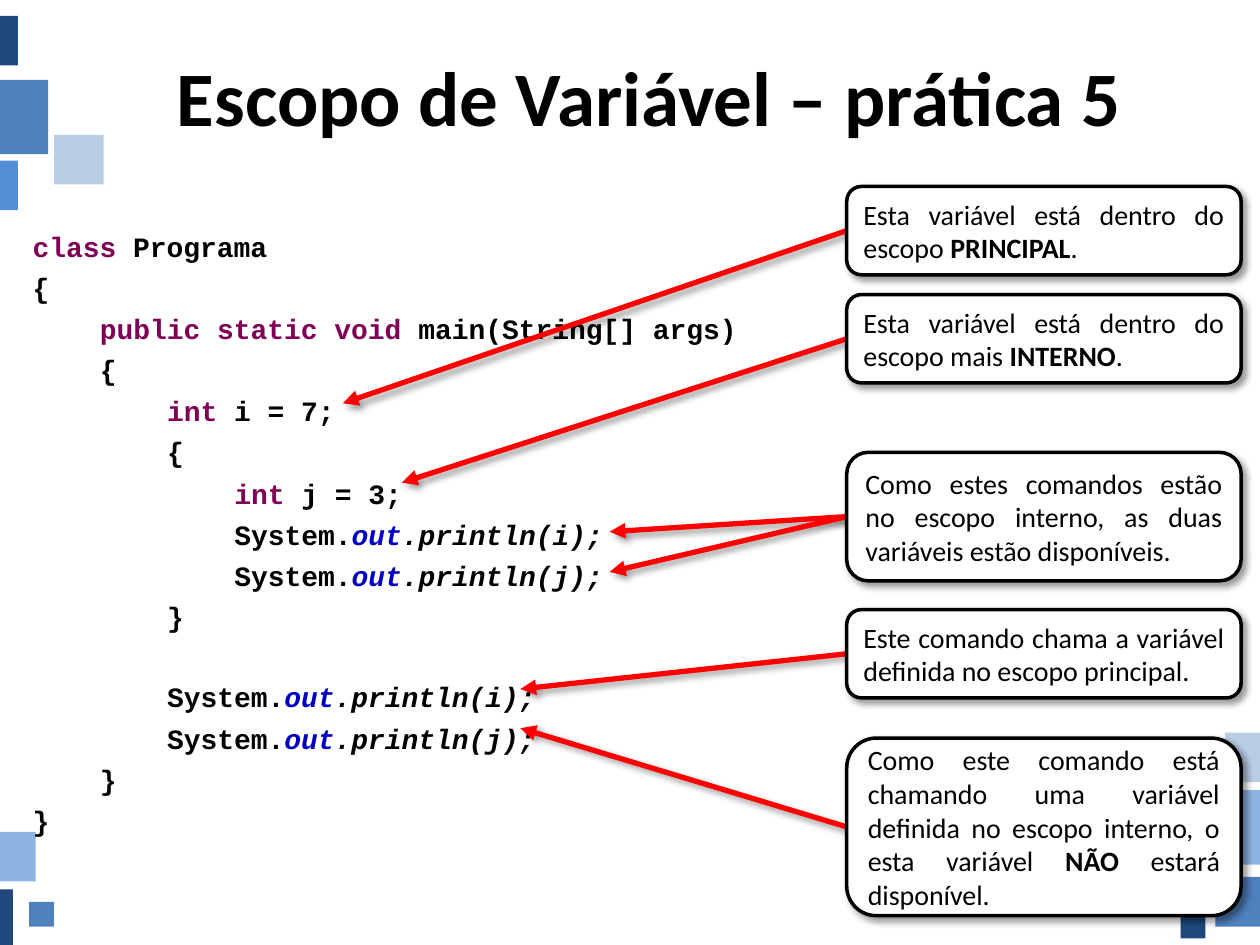
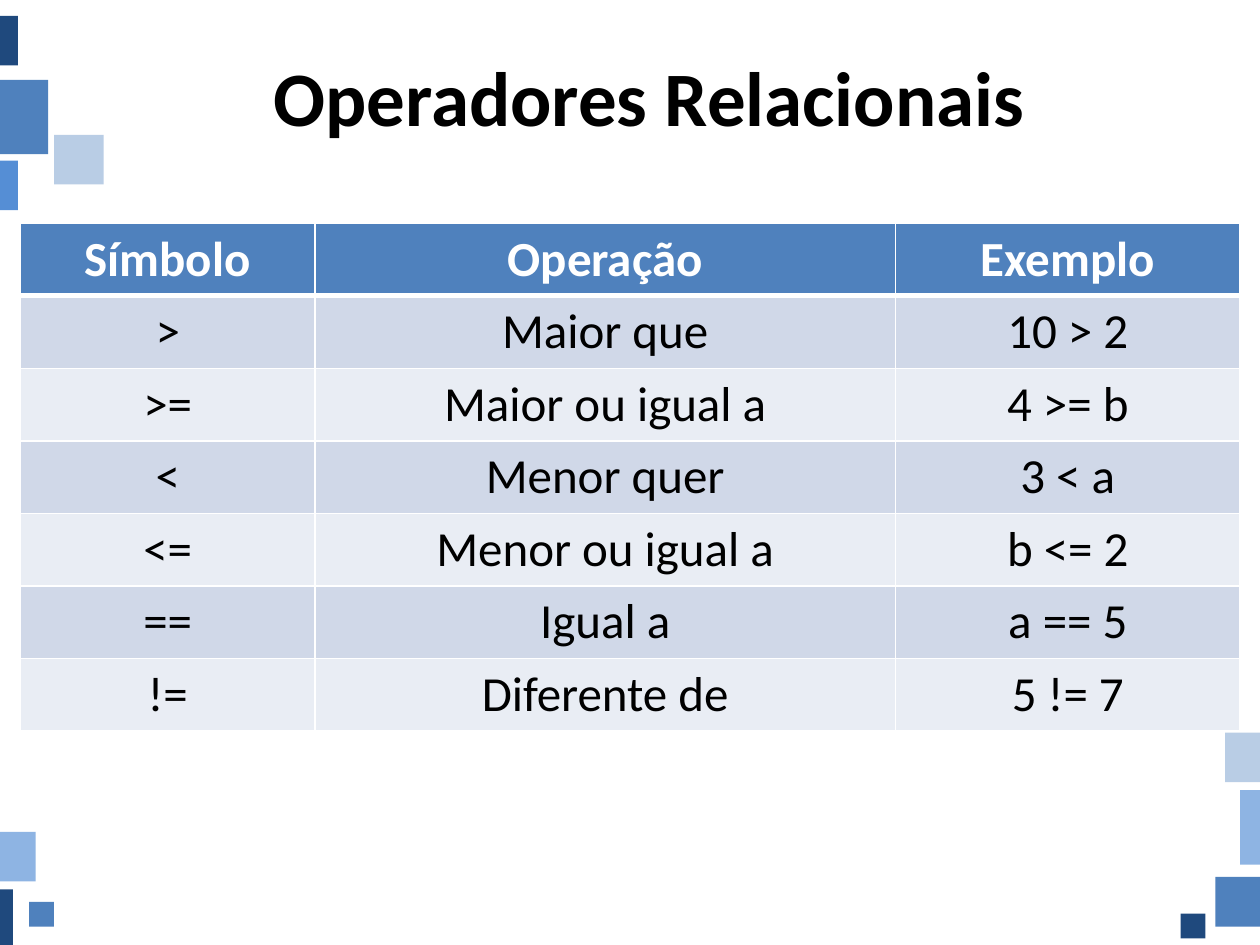
from lxml import etree
from pptx import Presentation
from pptx import util as u
from pptx.dml.color import RGBColor
from pptx.enum import shapes, text
from pptx.oxml import ns

# ---------- Shared style ----------
COLORS = {
    "black": "000000", "white": "FFFFFF", "arrow": "FF0000",
    "navy": "1F497D", "blue": "4F81BD", "bright": "558ED5",
    "sky": "8EB4E3", "pale": "B9CDE5",
    "keyword": "7F0055", "field": "0000C0",
    "band_dark": "D0D8E8", "band_light": "E9EDF4",
}
BODY_FONT, CODE_FONT = "Calibri", "Courier New"
TITLE_BOX = (1.09, 0.33, 24, 3.18)

# Corner squares: colour, left, top, width, height (cm)
SQUARES = [
    ("navy", 0, 0.32, 0.36, 1), ("blue", 0, 1.61, 0.97, 1.5),
    ("bright", 0, 3.24, 0.36, 1), ("pale", 1.09, 2.72, 1, 1),
    ("blue", 24.5, 17.68, 0.9, 1), ("sky", 25, 15.93, 0.4, 1.5),
    ("pale", 24.7, 14.77, 0.7, 1), ("navy", 23.8, 18.42, 0.5, 0.5),
    ("navy", 0, 17.93, 0.26, 1.12), ("sky", 0, 16.77, 0.72, 1),
    ("blue", 0.59, 18.18, 0.5, 0.5),
]

# ---------- Slide 1 content ----------
SCOPE_TITLE = "Escopo de Variável – prática 5"
# Code styles: colour, italic
CODE_STYLES = {"plain": ("black", False), "keyword": ("keyword", False),
               "field": ("field", True), "call": ("black", True)}


def print_line(variable):
    return [("System.", "plain"), ("out", "field"),
            (f".println({variable});", "call")]


OPEN, CLOSE = [("{", "plain")], [("}", "plain")]
# Indent level, runs, blank lines above
CODE = [
    (0, [("class", "keyword"), (" Programa", "plain")], 0),
    (0, OPEN, 0),
    (1, [("public static void", "keyword"),
         (" main(String[] args)", "plain")], 0),
    (1, OPEN, 0),
    (2, [("int ", "keyword"), ("i = 7;", "plain")], 0),
    (2, OPEN, 0),
    (3, [("int ", "keyword"), ("j = 3;", "plain")], 0),
    (3, print_line("i"), 0),
    (3, print_line("j"), 0),
    (2, CLOSE, 0),
    (2, print_line("i"), 1),
    (2, print_line("j"), 0),
    (1, CLOSE, 0),
    (0, CLOSE, 0),
]
CODE_BOX = (0.41, 4.5, 24.6, 13.15)
CODE_INDENT = 1.355             # four characters of 16 pt code
CODE_GAP, CODE_PITCH = 4.3, 22.45  # points

# Callouts: top, height, arrow targets, runs (text, bold)
CALLOUT_LEFT, CALLOUT_WIDTH = 17.07, 7.95
CALLOUTS = [
    (3.76, 1.78, [(6.91, 8.13)],
     [("Esta variável está dentro do escopo ", False),
      ("PRINCIPAL", True), (".", False)]),
    (5.94, 1.78, [(8.1, 9.73)],
     [("Esta variável está dentro do escopo mais ", False),
      ("INTERNO", True), (".", False)]),
    (9.12, 2.59, [(12.29, 10.72), (12.29, 11.53)],
     [("Como estes comandos estão no escopo interno, as duas variáveis "
       "estão disponíveis.", False)]),
    (12.29, 1.78, [(10.49, 13.89)],
     [("Este comando chama a variável definida no escopo principal.",
       False)]),
    (14.88, 3.58, [(10.49, 14.68)],
     [("Como este comando está chamando uma variável definida no escopo "
       "interno, o esta variável ", False),
      ("NÃO", True), (" estará disponível.", False)]),
]

# ---------- Slide 2 content ----------
OPERATORS_TITLE = "Operadores Relacionais"
OPERATORS = [
    ("Símbolo", "Operação", "Exemplo"),
    (">", "Maior que", "10 > 2"),
    (">=", "Maior ou igual a", "4 >= b"),
    ("<", "Menor quer", "3 < a"),
    ("<=", "Menor ou igual a", "b <= 2"),
    ("==", "Igual a", "a == 5"),
    ("!=", "Diferente de", "5 != 7"),
]
TABLE_LEFT, TABLE_TOP, ROW_HEIGHT = 0.41, 4.5, 1.46
COLUMN_WIDTHS = (5.94, 11.7, 6.95)


# ---------- Helpers ----------
def cm(*values):
    return [u.Cm(value) for value in values]


def rgb(name):
    return RGBColor.from_string(COLORS[name])


def add_run(para, words, size, color="black", font=BODY_FONT,
            bold=False, italic=False):
    span = para.add_run()
    span.text = words
    span.font.name, span.font.size = font, u.Pt(size)
    span.font.bold, span.font.italic = bold, italic
    span.font.color.rgb = rgb(color)


def add_node(parent, tag, **attributes):
    return etree.SubElement(parent, ns.qn(tag),
                            {key: str(val) for key, val in attributes.items()})


def add_shadow(shape):
    """Soft shadow at 45 degrees, 40 % opaque."""
    effects = add_node(shape.element.spPr, "a:effectLst")
    outer = add_node(effects, "a:outerShdw", blurRad=u.Pt(4), dist=u.Pt(3),
                     dir=45 * 60000, algn="tl", rotWithShape=0)
    color = add_node(outer, "a:srgbClr", val=COLORS["black"])
    add_node(color, "a:alpha", val=40000)


def add_arrow(page, start, end):
    arrow = page.shapes.add_connector(
        shapes.MSO_CONNECTOR.STRAIGHT, *cm(*start, *end))
    arrow.line.color.rgb = rgb("arrow")
    arrow.line.width = u.Pt(3)
    add_node(arrow.line._get_or_add_ln(), "a:tailEnd", type="triangle")
    add_shadow(arrow)


def add_callout(page, top, height, runs):
    box = page.shapes.add_shape(
        shapes.MSO_SHAPE.ROUNDED_RECTANGLE,
        *cm(CALLOUT_LEFT, top, CALLOUT_WIDTH, height))
    box.fill.solid()
    box.fill.fore_color.rgb = rgb("white")
    box.line.color.rgb = rgb("black")
    box.line.width = u.Pt(2)
    add_shadow(box)
    frame = box.text_frame
    frame.word_wrap = True
    frame.vertical_anchor = text.MSO_ANCHOR.MIDDLE
    para = frame.paragraphs[0]
    para.alignment = text.PP_ALIGN.JUSTIFY
    for words, bold in runs:
        add_run(para, words, 16, bold=bold)


def add_borders(cell, widths):
    """Draw white left, right, top and bottom edges, widths in points."""
    properties = cell._tc.get_or_add_tcPr()
    for side, width in zip("LRTB", widths):
        edge = add_node(properties, f"a:ln{side}", w=u.Pt(width))
        fill = add_node(edge, "a:solidFill")
        add_node(fill, "a:srgbClr", val=COLORS["white"])


def add_page(deck, words):
    page = deck.slides.add_slide(deck.slide_layouts[5])
    title = page.shapes.title
    title.left, title.top, title.width, title.height = cm(*TITLE_BOX)
    title.text_frame.vertical_anchor = text.MSO_ANCHOR.MIDDLE
    para = title.text_frame.paragraphs[0]
    para.alignment = text.PP_ALIGN.CENTER
    add_run(para, words, 44, bold=True)
    return page


def decorate_layout(page):
    """Put the corner squares on the layout that the pages share."""
    for color, *place in SQUARES:
        square = page.shapes.add_shape(shapes.MSO_SHAPE.RECTANGLE, *cm(*place))
        square.fill.solid()
        square.fill.fore_color.rgb = rgb(color)
        square.line.fill.background()
        square.shadow.inherit = False
        page.slide_layout.shapes.element.append(square.element)


deck = Presentation()
deck.slide_width, deck.slide_height = cm(25.4, 19.05)

# ---------- Slide 1: variable scope ----------
page = add_page(deck, SCOPE_TITLE)
decorate_layout(page)

# Code listing
frame = page.shapes.add_textbox(*cm(*CODE_BOX)).text_frame
frame.word_wrap = True
for number, (level, runs, blanks) in enumerate(CODE):
    para = frame.add_paragraph() if number else frame.paragraphs[0]
    para.space_before = u.Pt(CODE_GAP + blanks * CODE_PITCH)
    para._p.get_or_add_pPr().set("marL", str(u.Cm(level * CODE_INDENT)))
    for words, style in runs:
        color, italic = CODE_STYLES[style]
        add_run(para, words, 16, color, CODE_FONT, bold=True, italic=italic)

# Arrows leave the middle of each callout's left edge
for top, height, targets, _ in CALLOUTS:
    for target in targets:
        add_arrow(page, (CALLOUT_LEFT, top + height / 2), target)
for top, height, _, runs in CALLOUTS:
    add_callout(page, top, height, runs)

# ---------- Slide 2: relational operators ----------
page = add_page(deck, OPERATORS_TITLE)
table = page.shapes.add_table(
    len(OPERATORS), len(COLUMN_WIDTHS),
    *cm(TABLE_LEFT, TABLE_TOP, sum(COLUMN_WIDTHS),
        ROW_HEIGHT * len(OPERATORS))).table
for column, width in zip(table.columns, COLUMN_WIDTHS):
    column.width = u.Cm(width)
for row_number, values in enumerate(OPERATORS):
    table.rows[row_number].height = u.Cm(ROW_HEIGHT)
    header = row_number == 0
    band = "blue" if header else ("band_light", "band_dark")[row_number % 2]
    for column_number, words in enumerate(values):
        cell = table.cell(row_number, column_number)
        add_borders(cell, (1, 1, 3 if row_number == 1 else 1,
                           3 if header else 1))
        cell.fill.solid()
        cell.fill.fore_color.rgb = rgb(band)
        cell.vertical_anchor = (text.MSO_ANCHOR.TOP if header
                                else text.MSO_ANCHOR.MIDDLE)
        para = cell.text_frame.paragraphs[0]
        para.alignment = text.PP_ALIGN.CENTER
        add_run(para, words, 28, "white" if header else "black", bold=header)

deck.save("out.pptx")
